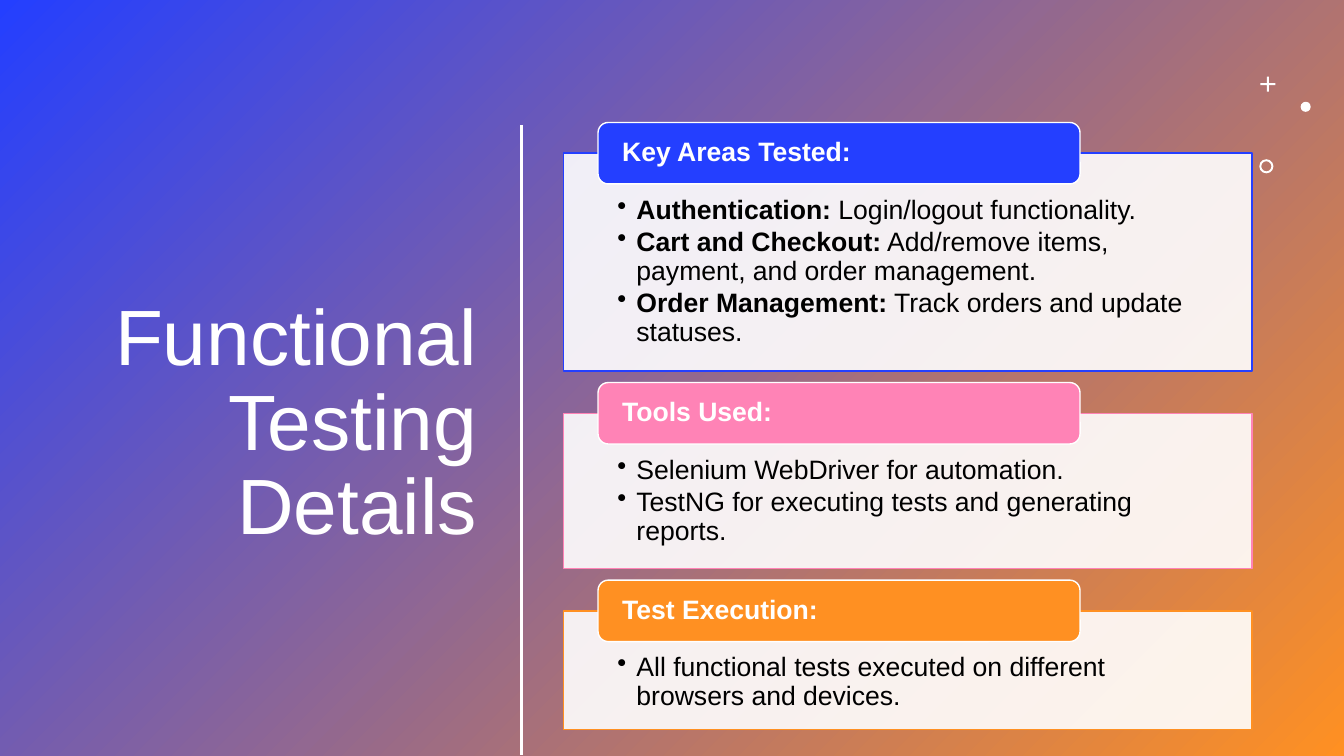
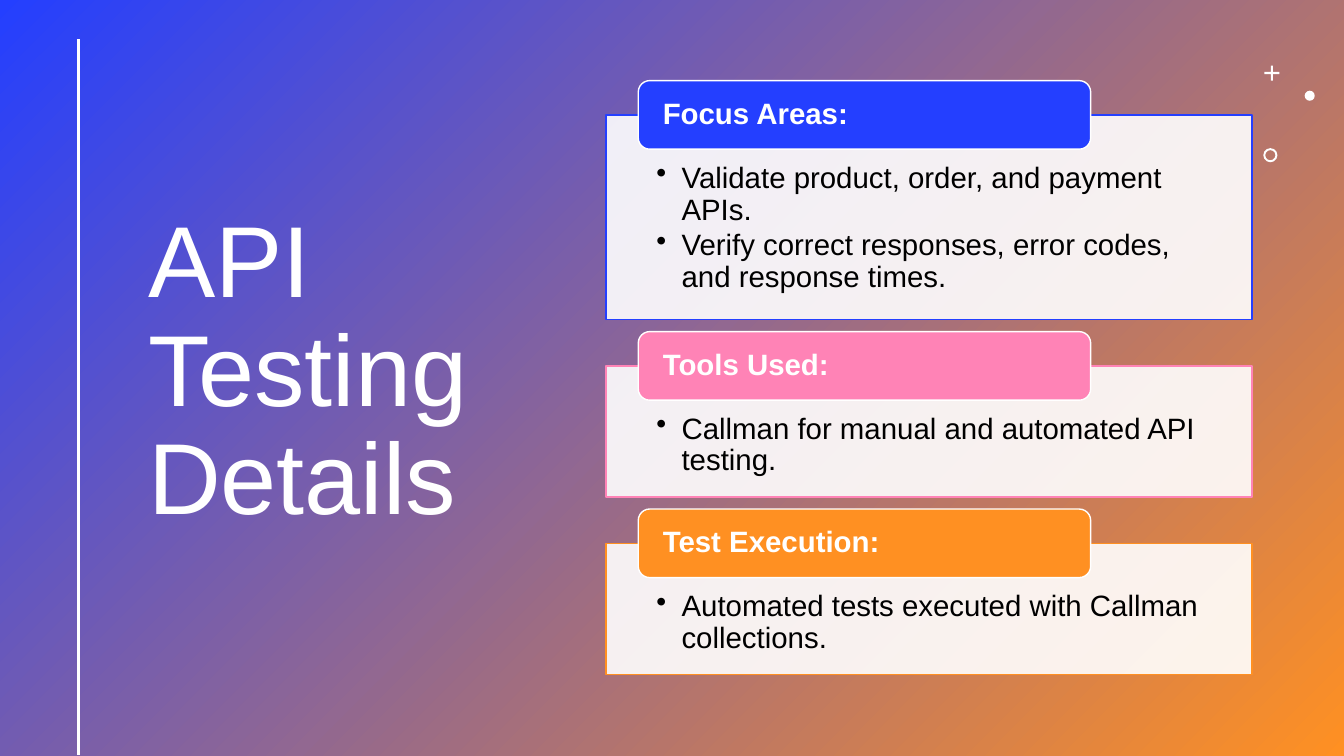
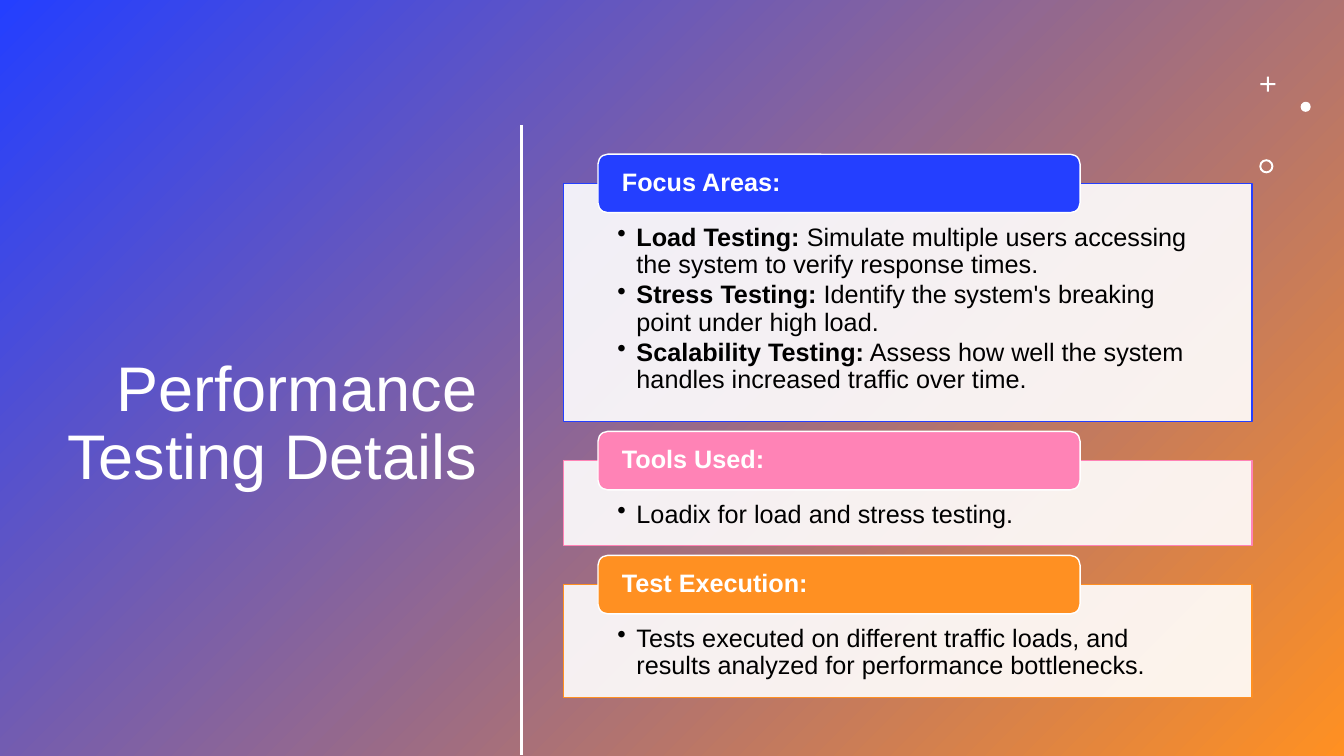
import pptx
import pptx.util
import pptx.dml.color
import pptx.enum.shapes
import pptx.enum.text
from lxml import etree
from pptx.oxml.ns import qn

Inches = pptx.util.Inches
Pt = pptx.util.Pt
Shape = pptx.enum.shapes.MSO_SHAPE
Align = pptx.enum.text.PP_ALIGN
Anchor = pptx.enum.text.MSO_ANCHOR

BLUE, PINK, ORANGE = "243FFF", "FF83B6", "FF9022"
WHITE, BLACK = "FFFFFF", "000000"
FONT = "Arial"
WIDTH, HEIGHT = 13.33, 7.5


def color(value):
    return pptx.dml.color.RGBColor.from_string(value)


class Builder:
    """Holds the shared style and the slide being built."""

    def __init__(self):
        self.deck = pptx.Presentation()
        self.deck.slide_width = Inches(WIDTH)
        self.deck.slide_height = Inches(HEIGHT)
        self.page = None

    def new_page(self):
        self.page = self.deck.slides.add_slide(self.deck.slide_layouts[6])
        backdrop = self.shape(Shape.RECTANGLE, 0, 0, WIDTH, HEIGHT)
        backdrop.fill.gradient()
        backdrop.fill.gradient_angle = 315
        for stop, value in zip(backdrop.fill.gradient_stops, (BLUE, ORANGE)):
            stop.color.rgb = color(value)

    def shape(self, kind, left, top, width, height, fill=WHITE, line=None):
        box = self.page.shapes.add_shape(
            kind, Inches(left), Inches(top), Inches(width), Inches(height))
        box.shadow.inherit = False
        box.fill.solid()
        box.fill.fore_color.rgb = color(fill)
        if line:
            box.line.color.rgb = color(line)
            box.line.width = Pt(1)
        else:
            box.line.fill.background()
        return box

    def frame(self, box, anchor, left=0.1, top=0.05, right=0.1, bottom=0.05):
        frame = box.text_frame
        frame.word_wrap = True
        frame.vertical_anchor = anchor
        frame.margin_left, frame.margin_right = Inches(left), Inches(right)
        frame.margin_top, frame.margin_bottom = Inches(top), Inches(bottom)
        return frame

    def style(self, para, size, value, align=Align.LEFT, bold=False):
        para.alignment = align
        para.line_spacing = 0.9
        para.font.name = FONT
        para.font.size = Pt(size)
        para.font.bold = bold
        para.font.color.rgb = color(value)

    def title(self, text, left, top, size, align):
        box = self.page.shapes.add_textbox(
            Inches(left), Inches(top), Inches(4.31), Inches(6.11))
        para = self.frame(box, Anchor.MIDDLE).paragraphs[0]
        para.text = text
        self.style(para, size, WHITE, align)

    def rule(self, left, top):
        line = self.page.shapes.add_connector(
            pptx.enum.shapes.MSO_CONNECTOR.STRAIGHT,
            Inches(left), Inches(top), Inches(left), Inches(7.49))
        line.line.color.rgb = color(WHITE)
        line.line.width = Pt(2)
        etree.SubElement(line._element.spPr, qn("a:effectLst"))

    def ornaments(self, left, top):
        plus = self.shape(Shape.CROSS, left + 0.01, top, 0.15, 0.15)
        plus.adjustments[0] = 0.43
        self.shape(Shape.OVAL, left + 0.41, top + 0.25, 0.1, 0.1)
        ring = self.shape(Shape.DONUT, left, top + 0.82, 0.14, 0.14)
        ring.adjustments[0] = 0.14

    def bullet(self, para, item, size, indent):
        lead, rest = item if isinstance(item, tuple) else ("", item)
        if lead:
            span = para.add_run()
            span.text = lead
            span.font.bold = True
        para.add_run().text = rest
        para.space_after = Pt(round(size * 0.13, 1))
        props = para._p.get_or_add_pPr()
        props.set("marL", str(Inches(indent)))
        props.set("indent", str(-Inches(indent)))
        etree.SubElement(props, qn("a:buChar")).set("char", "•")
        self.style(para, size, BLACK)

    def card(self, left, top, width, height, tab, size, indent, accent, heading, items):
        # Translucent panel with bullets
        panel = self.shape(Shape.RECTANGLE, left, top, width, height, WHITE, accent)
        fill = panel._element.spPr.find(qn("a:solidFill"))
        etree.SubElement(fill[0], qn("a:alpha")).set("val", "90000")
        side = width * 0.078
        frame = self.frame(panel, Anchor.TOP, side, tab * 0.7, side, 0.15)
        for index, item in enumerate(items):
            para = frame.add_paragraph() if index else frame.paragraphs[0]
            self.bullet(para, item, size, indent)
        # Heading tab straddling the panel's top edge
        label = self.shape(Shape.ROUNDED_RECTANGLE, left + width * 0.05, top - tab / 2,
                           width * 0.7, tab, accent, WHITE)
        para = self.frame(label, Anchor.MIDDLE, 0.21, 0, 0.21, 0).paragraphs[0]
        para.text = heading
        self.style(para, size, WHITE, bold=True)

    def stack(self, left, top, width, gap, tab, size, indent, cards):
        for accent, (heading, height, items) in zip((BLUE, PINK, ORANGE), cards):
            self.card(left, top, width, height, tab, size, indent, accent, heading, items)
            top += height + gap


# Placement shared by the slides with a right-aligned title
RIGHT_TITLE = dict(title=(0.52, 1.16), align=Align.RIGHT, rule=(5.17, 1.24),
                   ornaments=(12.49, 0.76))
LEFT_TITLE = dict(title=(1.37, 0.65), align=Align.LEFT, rule=(0.78, 0.39),
                  ornaments=(12.53, 0.65))

SLIDES = [
    ("Functional Testing Details", 56, RIGHT_TITLE,
     dict(left=5.59, top=1.52, width=6.83, gap=0.42, tab=0.61, size=19, indent=0.19), [
         ("Key Areas Tested:", 2.16, [
             ("Authentication:", " Login/logout functionality."),
             ("Cart and Checkout:", " Add/remove items, payment, and order management."),
             ("Order Management:", " Track orders and update statuses.")]),
         ("Tools Used:", 1.54, [
             "Selenium WebDriver for automation.",
             "TestNG for executing tests and generating reports."]),
         ("Test Execution:", 1.18, [
             "All functional tests executed on different browsers and devices."])]),
    ("API Testing Details", 72, LEFT_TITLE,
     dict(left=6.01, top=1.14, width=6.41, gap=0.46, tab=0.68, size=21, indent=0.25), [
         ("Focus Areas:", 2.03, [
             "Validate product, order, and payment APIs.",
             "Verify correct responses, error codes, and response times."]),
         ("Tools Used:", 1.3, ["Callman for manual and automated API testing."]),
         ("Test Execution:", 1.3, ["Automated tests executed with Callman collections."])]),
    ("Performance Testing Details", 45, RIGHT_TITLE,
     dict(left=5.59, top=1.82, width=6.83, gap=0.39, tab=0.58, size=18, indent=0.19), [
         ("Focus Areas:", 2.36, [
             ("Load Testing:",
              " Simulate multiple users accessing the system to verify response times."),
             ("Stress Testing:", " Identify the system's breaking point under high load."),
             ("Scalability Testing:",
              " Assess how well the system handles increased traffic over time.")]),
         ("Tools Used:", 0.84, ["Loadix for load and stress testing."]),
         ("Test Execution:", 1.12, [
             "Tests executed on different traffic loads, "
             "and results analyzed for performance bottlenecks."])]),
]


def main():
    builder = Builder()
    for title, size, place, layout, cards in SLIDES:
        builder.new_page()
        builder.title(title, *place["title"], size, place["align"])
        builder.rule(*place["rule"])
        builder.ornaments(*place["ornaments"])
        builder.stack(cards=cards, **layout)
    builder.deck.save("out.pptx")


if __name__ == "__main__":
    main()
